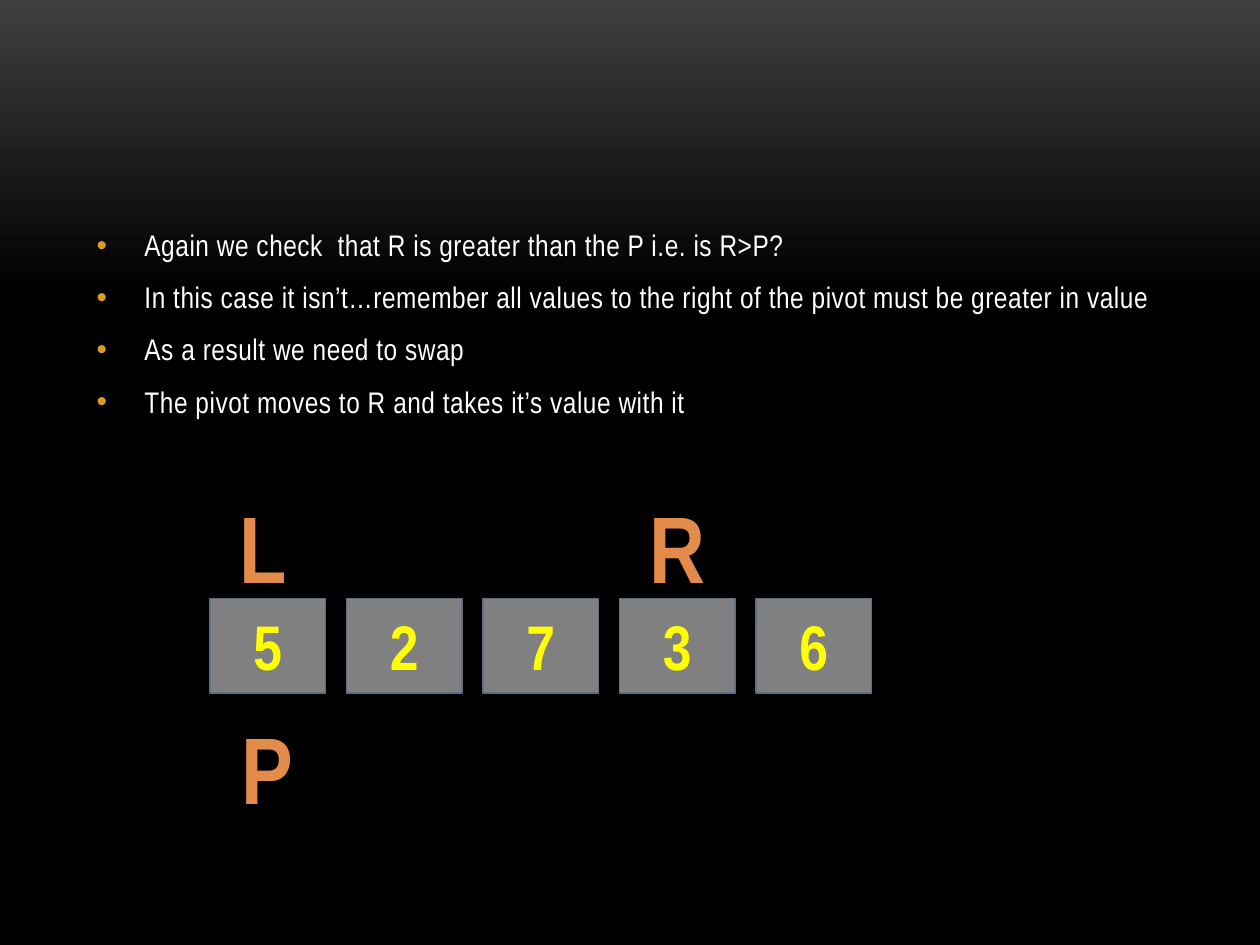
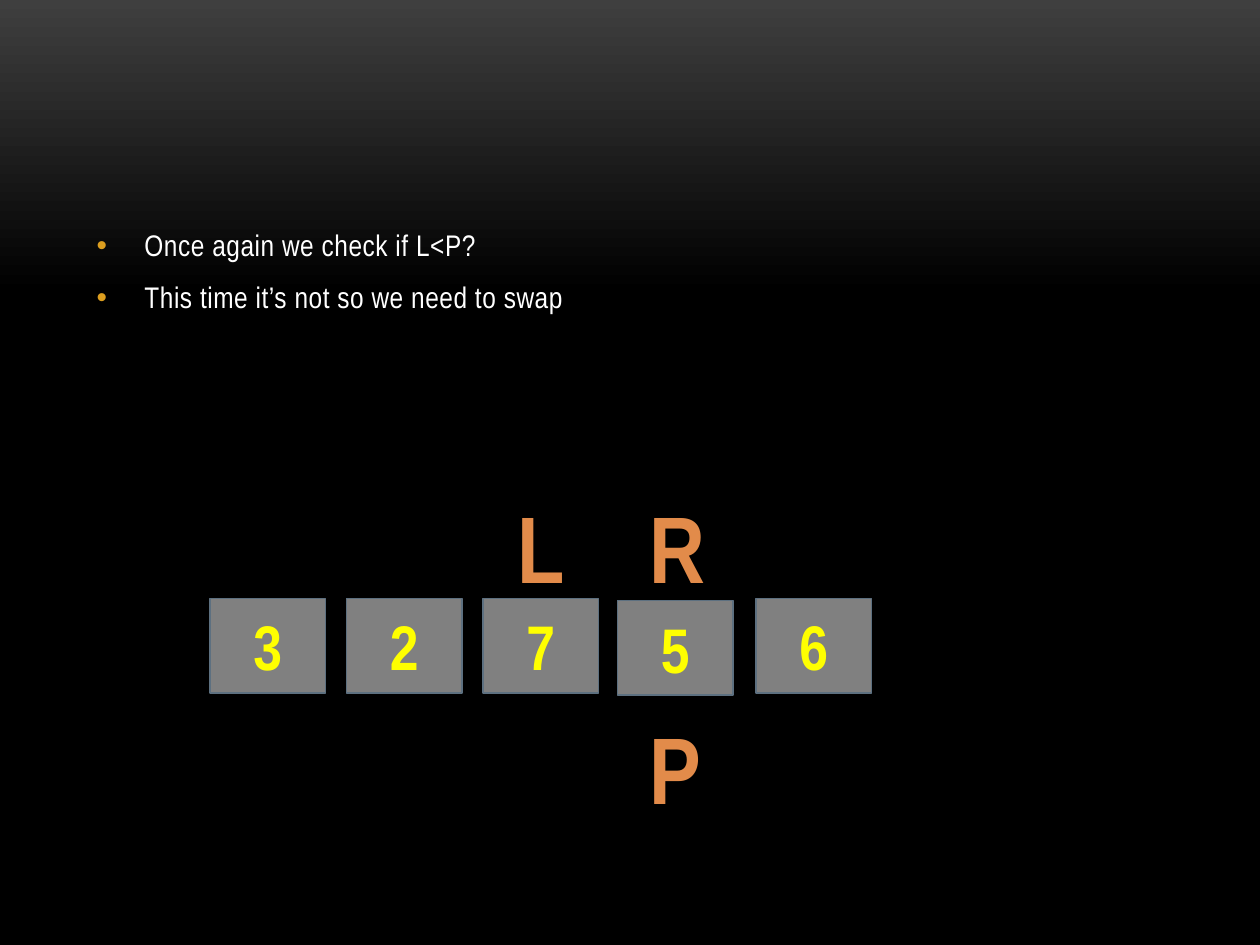
from lxml import etree
from pptx import Presentation
from pptx.dml.color import RGBColor
from pptx.enum.shapes import MSO_SHAPE
from pptx.enum.text import MSO_ANCHOR, MSO_AUTO_SIZE, PP_ALIGN
from pptx.oxml.ns import qn
from pptx.util import Inches, Pt

RECT = MSO_SHAPE.RECTANGLE
MIDDLE = MSO_ANCHOR.MIDDLE
CENTER = PP_ALIGN.CENTER
NO_FIT, GROW = MSO_AUTO_SIZE.NONE, MSO_AUTO_SIZE.SHAPE_TO_FIT_TEXT

FONT = "Arial Narrow"
COLORS = {"bg_top": "3F3F3F", "bg": "000000", "text": "FFFFFF", "bullet": "DC9E1F",
          "cell": "808080", "edge": "5D7080", "value": "FFFF00", "marker": "E28B4A"}

# Grid: 120 columns by 90 rows
COLS, ROWS = 120, 90
CELL_X, CELL_Y, CELL_W, CELL_H, CELL_STEP = 20, 57, 11, 9, 13
MARKER_H = 12.12
MARKER_W = {"L": 7, "R": 7.8, "P": 7.4}
MARKER_Y = {"L": 46, "R": 46, "P": 67}


def rgb(name):
    return RGBColor.from_string(COLORS[name])


class Deck:
    def __init__(self):
        self.prs = Presentation()
        self.prs.slide_width, self.prs.slide_height = Inches(10), Inches(7.5)
        self.s = None
        self.set_background()

    def set_background(self):
        fill = self.prs.slide_master.background.fill
        fill.gradient()
        fill.gradient_angle = 270
        for stop, (pos, name) in zip(fill.gradient_stops, [(0, "bg_top"), (0.31, "bg")]):
            stop.position = pos
            stop.color.rgb = rgb(name)

    def box(self, x, y, w, h):
        col, row = self.prs.slide_width / COLS, self.prs.slide_height / ROWS
        return round(x * col), round(y * row), round(w * col), round(h * row)

    def style(self, p, size, color, bold=False):
        for r in p.runs:
            r.font.name, r.font.size, r.font.bold = FONT, Pt(size), bold
            r.font.color.rgb = rgb(color)

    def new_slide(self):
        self.s = self.prs.slides.add_slide(self.prs.slide_layouts[1])
        title = self.s.shapes.title
        title.element.getparent().remove(title.element)

    def bullets(self, lines):
        sp = self.s.placeholders[1]
        sp.left, sp.top, sp.width, sp.height = self.box(8, 21, 104, 21)
        tf = sp.text_frame
        tf.text = "\n".join(lines)
        tf.auto_size = NO_FIT
        for p in tf.paragraphs:
            p.space_after = Pt(6)
            self.style(p, 17, "text")
            for r in p.runs:
                r.font._element.set("spc", "30")
            pPr = p._p.get_or_add_pPr()
            pPr.set("marL", str(Inches(0.38)))
            pPr.set("indent", str(-Inches(0.38)))
            clr = etree.SubElement(pPr, qn("a:buClr"))
            etree.SubElement(clr, qn("a:srgbClr"), val=COLORS["bullet"])
            etree.SubElement(pPr, qn("a:buFont"), typeface="Arial")
            etree.SubElement(pPr, qn("a:buChar"), char="•")

    def cell(self, i, value, dx=0, dy=0):
        x, y = CELL_X + i * CELL_STEP + dx, CELL_Y + dy
        sp = self.s.shapes.add_shape(RECT, *self.box(x, y, CELL_W, CELL_H))
        sp.shadow.inherit = False
        sp.fill.solid()
        sp.fill.fore_color.rgb = rgb("cell")
        sp.line.color.rgb = rgb("edge")
        sp.line.width = Pt(0.85)
        tf = sp.text_frame
        tf.text = str(value)
        tf.vertical_anchor = MIDDLE
        tf.paragraphs[0].alignment = CENTER
        self.style(tf.paragraphs[0], 36, "value", True)

    def marker(self, letter, i, dx=0):
        """Centre a pointer letter above or below cell i."""
        w = MARKER_W[letter]
        x = CELL_X + i * CELL_STEP + (CELL_W - w) / 2 + dx
        sp = self.s.shapes.add_textbox(*self.box(x, MARKER_Y[letter], w, MARKER_H))
        tf = sp.text_frame
        tf.word_wrap = False
        tf.auto_size = GROW
        tf.text = letter
        tf.paragraphs[0].alignment = CENTER
        self.style(tf.paragraphs[0], 54, "marker", True)

    def step(self, lines, values, markers, nudges):
        self.new_slide()
        self.bullets(lines)
        for i, value in enumerate(values):
            self.cell(i, value, *nudges.get(i, (0, 0)))
        for marker in markers:
            self.marker(*marker)


def main():
    deck = Deck()

    # R is compared with the pivot
    deck.step(["Again we check  that R is greater than the P i.e. is R>P?",
               "In this case it isn’t…remember all values to the right of the pivot "
               "must be greater in value",
               "As a result we need to swap",
               "The pivot moves to R and takes it’s value with it"],
              [5, 2, 7, 3, 6], [("P", 0), ("L", 0, -0.4), ("R", 3)], {})

    # L is compared with the pivot
    deck.step(["Once again we check if L<P?",
               "This time it’s not so we need to swap"],
              [3, 2, 7, 5, 6], [("P", 3, -0.2), ("L", 2), ("R", 3)], {3: (-0.2, 0.2)})

    deck.prs.save("out.pptx")


if __name__ == "__main__":
    main()
